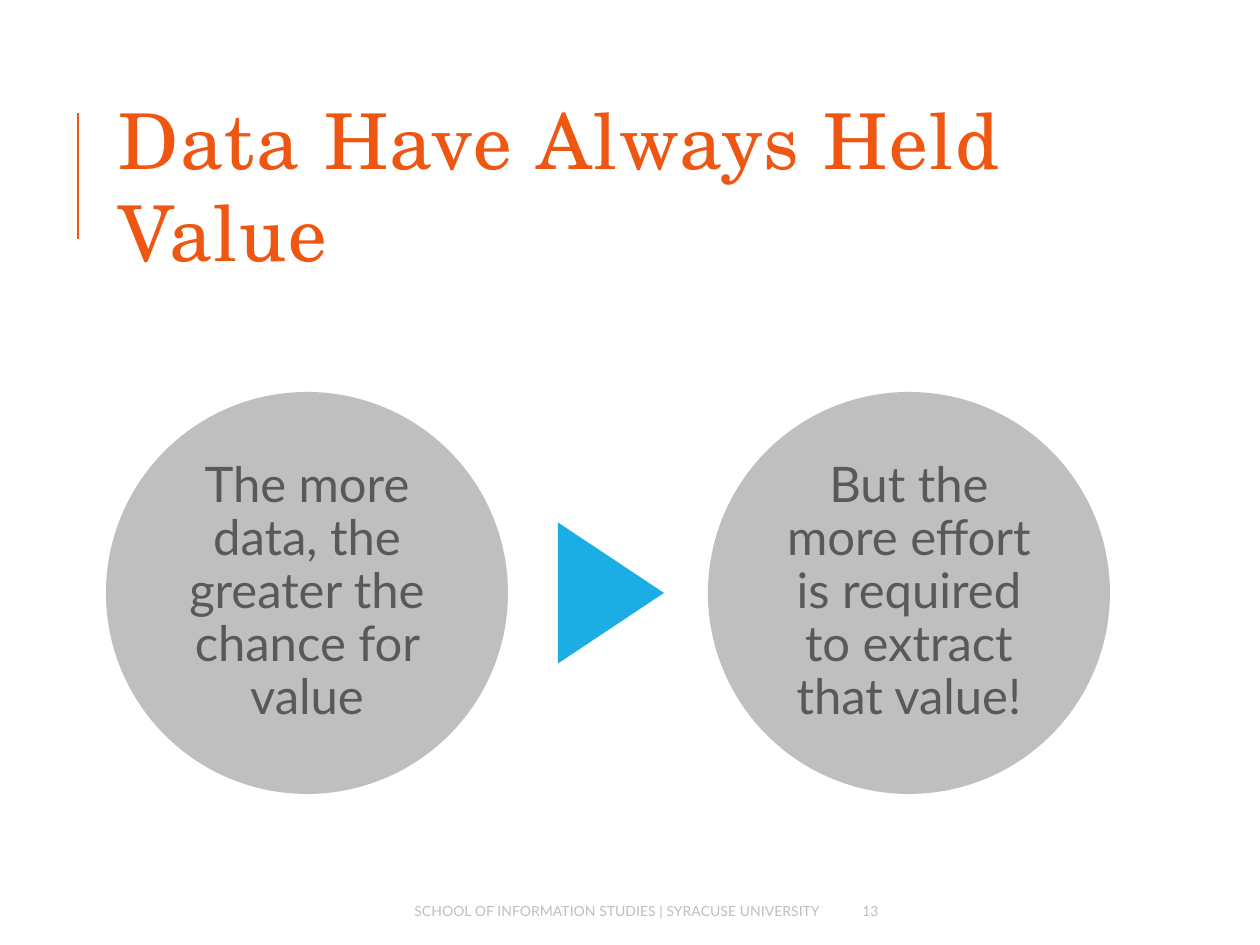
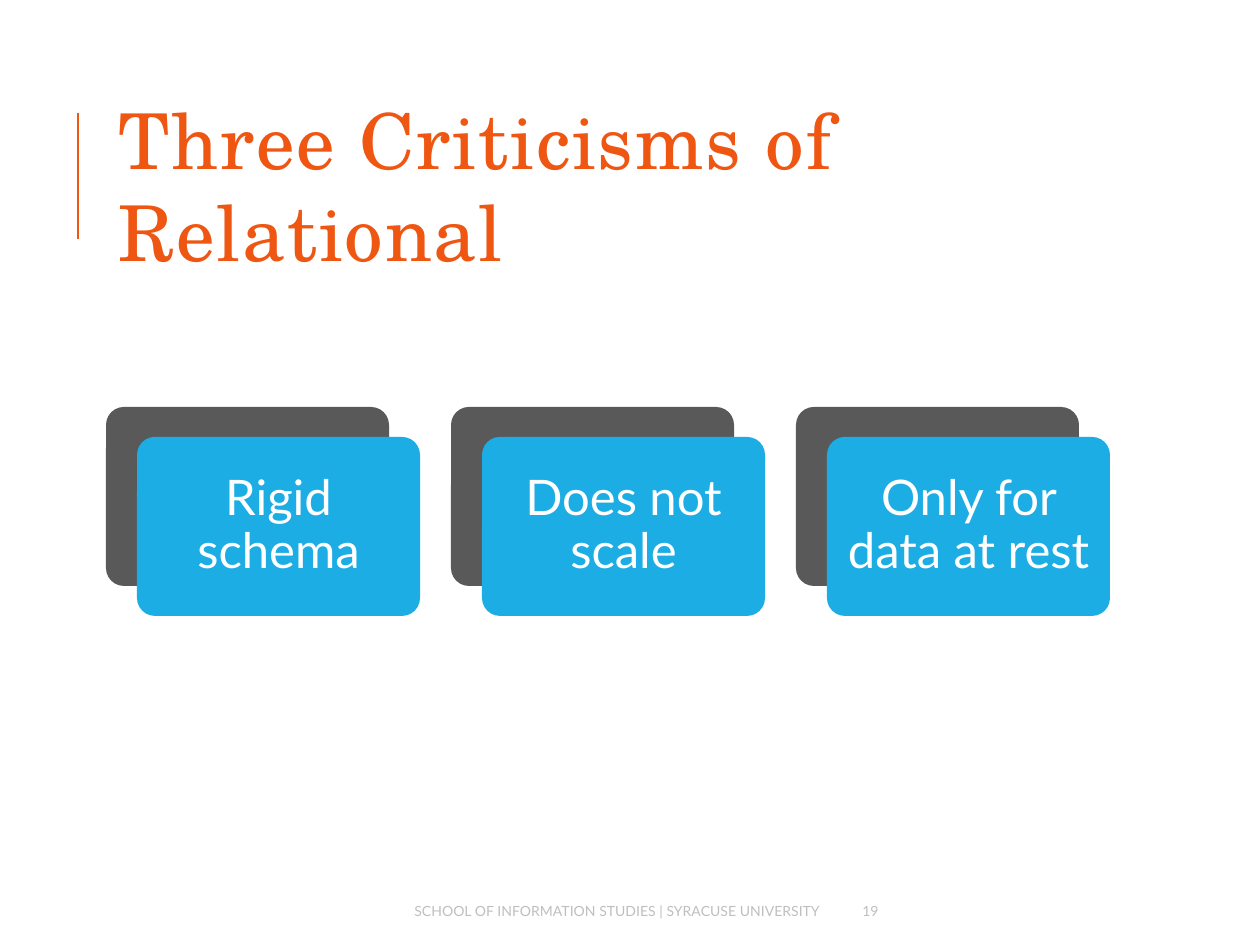
from dataclasses import dataclass

from lxml import etree
from pptx import Presentation
from pptx.dml.color import RGBColor
from pptx.enum.shapes import MSO_CONNECTOR, MSO_SHAPE
from pptx.enum.text import MSO_ANCHOR, PP_ALIGN
from pptx.oxml.ns import qn
from pptx.util import Emu, Pt

STRAIGHT = MSO_CONNECTOR.STRAIGHT
ELLIPSE = MSO_SHAPE.OVAL
TRIANGLE = MSO_SHAPE.ISOSCELES_TRIANGLE
ROUNDED = MSO_SHAPE.ROUNDED_RECTANGLE
MIDDLE = MSO_ANCHOR.MIDDLE
LEFT, CENTER, RIGHT = PP_ALIGN.LEFT, PP_ALIGN.CENTER, PP_ALIGN.RIGHT

EMU_PER_INCH = 914400
PX_PER_INCH = 126
SLIDE_SIZE = (1260, 945)
TITLE_BOX = (106, 81, 1004, 207)
FOOTER_BOX = (238, 892, 727, 38)
CIRCLES_BOX = (106, 392, 1004, 402)
CARDS_BOX = (106, 407, 1004, 209)
FOOTER_TEXT = "SCHOOL OF INFORMATION STUDIES | SYRACUSE UNIVERSITY"


@dataclass(frozen=True)
class Theme:
    orange: str = "EE5612"
    blue: str = "1CADE4"
    dark: str = "595959"
    light: str = "BFBFBF"
    white: str = "FFFFFF"
    title_font: str = "TeX Gyre Schola"
    body_font: str = "Lato"
    title_size: int = 44
    body_size: int = 28
    footer_size: int = 8
    title_spacing: int = 100  # hundredths of a point
    rule_width: float = 1.5


THEME = Theme()


def px(length):
    return Emu(round(length * EMU_PER_INCH / PX_PER_INCH))


def write(shape, text, size, color, font=THEME.body_font, align=LEFT):
    """Set one vertically centred paragraph and return it."""
    frame = shape.text_frame
    frame.word_wrap = True
    frame.vertical_anchor = MIDDLE
    frame.text = text
    paragraph = frame.paragraphs[0]
    paragraph.alignment = align
    run_font = paragraph.runs[0].font
    run_font.name = font
    run_font.size = Pt(size)
    run_font.color.rgb = RGBColor.from_string(color)
    return paragraph


def add_label(slide, box, *args, **kwargs):
    shape = slide.shapes.add_textbox(*map(px, box))
    return write(shape, *args, **kwargs)


def add_filled(slide, kind, box, fill):
    shape = slide.shapes.add_shape(kind, *map(px, box))
    shape.shadow.inherit = False
    shape.fill.solid()
    shape.fill.fore_color.rgb = RGBColor.from_string(fill)
    shape.line.fill.background()
    return shape


def write_body(shape, text, color, inset):
    frame = shape.text_frame
    frame.margin_left = frame.margin_right = px(inset)
    frame.margin_top = frame.margin_bottom = px(inset)
    paragraph = write(shape, text, THEME.body_size, color, align=CENTER)
    paragraph.line_spacing = 0.9


def add_title(slide, box, text):
    left, top, _, _ = box
    # Accent rule
    x = px(left - 28)
    rule = slide.shapes.add_connector(STRAIGHT, x, px(top + 158), x, px(top + 32))
    rule.line.color.rgb = RGBColor.from_string(THEME.orange)
    rule.line.width = Pt(THEME.rule_width)
    etree.SubElement(rule._element.spPr, qn("a:effectLst"))
    # Title text
    paragraph = add_label(slide, box, text, THEME.title_size, THEME.orange,
                          font=THEME.title_font)
    properties = paragraph.runs[0]._r.get_or_add_rPr()
    properties.set("spc", str(THEME.title_spacing))


def add_footer(slide, box, number):
    left, top, width, height = box
    number_width = 115
    gap = 17
    school_width = width - number_width - gap
    add_label(slide, (left, top, school_width, height), FOOTER_TEXT,
              THEME.footer_size, THEME.light, align=RIGHT)
    add_label(slide, (left + school_width + gap, top, number_width, height),
              str(number), THEME.footer_size, THEME.light)


def add_circles(slide, box, texts):
    """Two circles at the ends of the box, with an arrowhead between."""
    left, top, width, diameter = box
    for index, text in enumerate(texts):
        circle_left = left + index * (width - diameter)
        circle = add_filled(slide, ELLIPSE,
                            (circle_left, top, diameter, diameter), THEME.light)
        write_body(circle, text, THEME.dark, inset=5)

    # The triangle is turned, so its frame is set around its centre
    base, depth = 141, 106
    gap = width - 2 * diameter
    center_x = left + diameter + gap // 4 + depth // 2
    center_y = top + diameter // 2
    arrow = add_filled(slide, TRIANGLE, (center_x - base / 2, center_y - depth / 2,
                                         base, depth), THEME.blue)
    arrow.rotation = 90


def add_cards(slide, box, texts):
    """Equally spaced cards, each in front of a dark backing card."""
    left, top, width, height = box
    shift_x, shift_y = 31, 30
    card_width, card_height = 283, height - shift_y
    pitch = (width - card_width - shift_x) // (len(texts) - 1)
    for index, text in enumerate(texts):
        x = left + index * pitch
        backing = add_filled(slide, ROUNDED,
                             (x, top, card_width, card_height), THEME.dark)
        card = add_filled(slide, ROUNDED, (x + shift_x, top + shift_y,
                                           card_width, card_height), THEME.blue)
        for shape in (backing, card):
            shape.adjustments[0] = 0.1
        write_body(card, text, THEME.white, inset=15)


def add_slide(presentation, title, number, add_content, box, texts):
    slide = presentation.slides.add_slide(presentation.slide_layouts[6])
    add_title(slide, TITLE_BOX, title)
    add_content(slide, box, texts)
    add_footer(slide, FOOTER_BOX, number)


def main():
    presentation = Presentation()
    presentation.slide_width, presentation.slide_height = map(px, SLIDE_SIZE)
    add_slide(presentation, "Data Have Always Held Value", 13,
              add_circles, CIRCLES_BOX,
              ["The more data, the greater the chance for value",
               "But the more effort is required to extract that value!"])
    add_slide(presentation, "Three Criticisms of Relational", 19,
              add_cards, CARDS_BOX,
              ["Rigid schema", "Does not scale", "Only for data at rest"])
    presentation.save("out.pptx")


if __name__ == "__main__":
    main()
